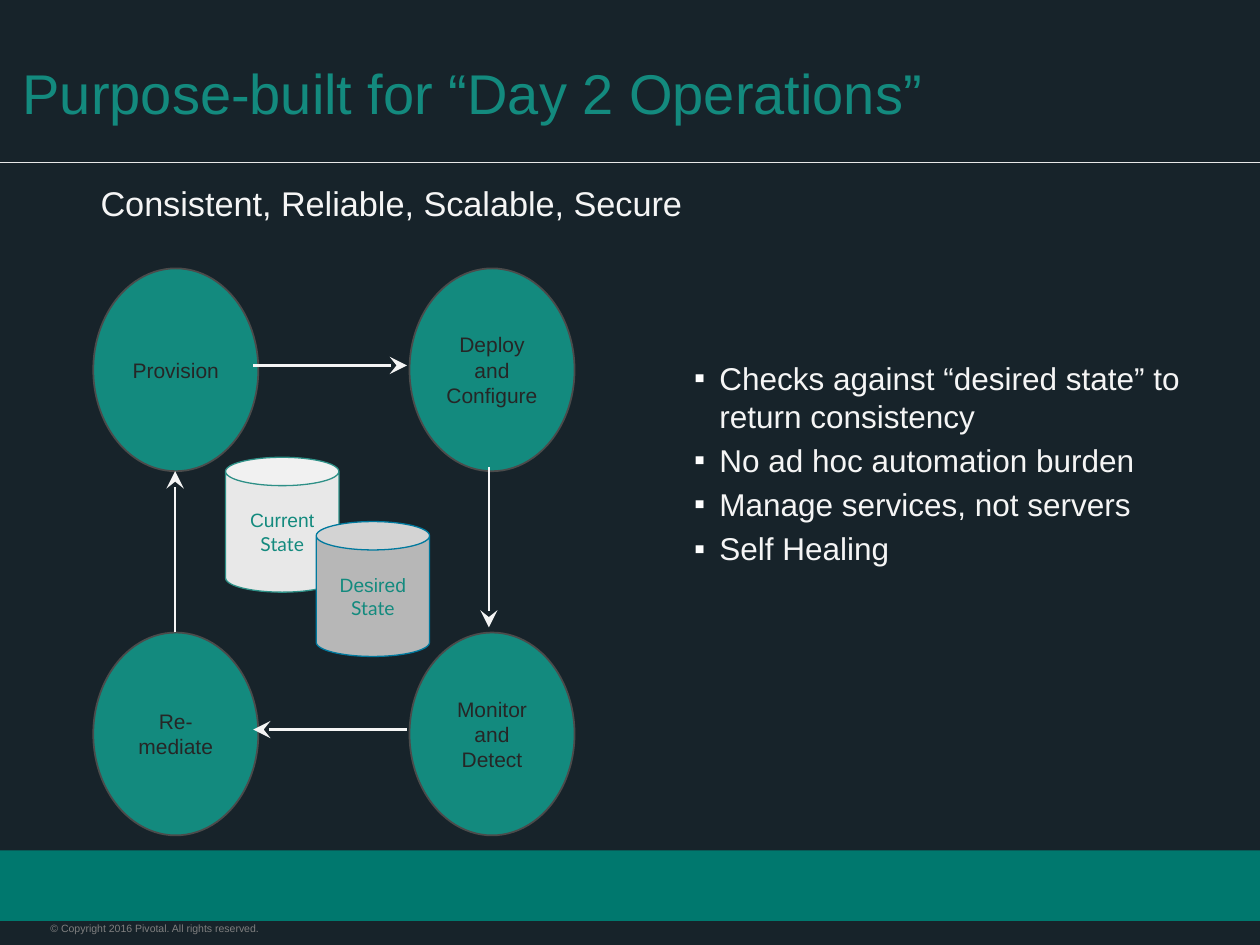
import pptx
import pptx.dml.color
import pptx.enum.shapes
import pptx.enum.text
import pptx.oxml
import pptx.oxml.ns
import pptx.util
from pptx.util import Inches

RGBColor = pptx.dml.color.RGBColor
SHAPE = pptx.enum.shapes.MSO_SHAPE
ALIGN = pptx.enum.text.PP_ALIGN
ANCHOR = pptx.enum.text.MSO_ANCHOR

NIGHT = RGBColor(0x17, 0x23, 0x2A)
BAND = RGBColor(0x00, 0x78, 0x6E)
TEAL = RGBColor(0x13, 0x8A, 0x7E)
CAN_EDGE_TEAL = RGBColor(0x2E, 0x90, 0x87)
CAN_EDGE_BLUE = RGBColor(0x00, 0x79, 0x9E)
OFF_WHITE = RGBColor(0xF5, 0xF5, 0xF5)
PALE = RGBColor(0xE8, 0xE8, 0xE8)
SILVER = RGBColor(0xB7, 0xB7, 0xB7)
GREY = RGBColor(0x7F, 0x7F, 0x7F)
EDGE_GREY = RGBColor(0x4B, 0x4B, 0x4B)
INK = RGBColor(0x26, 0x26, 0x26)

BENEFITS = [
    "Checks against “desired state” to return consistency",
    "No ad hoc automation burden",
    "Manage services, not servers",
    "Self Healing",
]


def set_values(target, values):
    for attribute, value in values.items():
        setattr(target, attribute, value)


def add_drawingml(parent, tag, attributes=""):
    namespace = pptx.oxml.ns.nsdecls("a")
    element = pptx.oxml.parse_xml(f"<a:{tag} {namespace} {attributes}/>")
    parent.append(element)
    return element


def write(paragraph, text, size, color, font="Arial"):
    run = paragraph.add_run()
    run.text = text
    set_values(run.font, {"size": pptx.util.Pt(size), "name": font})
    run.font.color.rgb = color


def prepare_frame(holder, anchor=ANCHOR.TOP, inset_x=0.1, inset_y=0.05):
    frame = holder.text_frame
    set_values(frame, {
        "word_wrap": True,
        "auto_size": pptx.enum.text.MSO_AUTO_SIZE.NONE,
        "vertical_anchor": anchor,
        "margin_left": Inches(inset_x),
        "margin_right": Inches(inset_x),
        "margin_top": Inches(inset_y),
        "margin_bottom": Inches(inset_y),
    })
    return frame


def place(holder, box):
    sides = ("left", "top", "width", "height")
    set_values(holder, {side: Inches(v) for side, v in zip(sides, box)})


def add_filled(slide, preset, box, fill, edge=None, edge_width=1):
    shape = slide.shapes.add_shape(preset, *map(Inches, box))
    shape.shadow.inherit = False
    shape.fill.solid()
    shape.fill.fore_color.rgb = fill
    if edge is None:
        shape.line.fill.background()
    else:
        shape.line.color.rgb = edge
        shape.line.width = pptx.util.Pt(edge_width)
    return shape


def add_rule(slide, start, end, color, width, arrow=False):
    rule = slide.shapes.add_connector(
        pptx.enum.shapes.MSO_CONNECTOR.STRAIGHT, *map(Inches, start + end))
    rule.line.color.rgb = color
    rule.line.width = pptx.util.Pt(width)
    if arrow:
        add_drawingml(rule.line._get_or_add_ln(), "tailEnd",
                      'type="stealth" w="lg" len="lg"')
    add_drawingml(rule._element.spPr, "effectLst")


def add_frame(slide, width):
    """Footer band, copyright line and the rule under the title."""
    add_filled(slide, SHAPE.RECTANGLE, (0, 6.75, width, 0.56), BAND)
    rights = slide.shapes.add_textbox(*map(Inches, (0.4, 7.32, 2.49, 0.13)))
    frame = prepare_frame(rights, inset_x=0, inset_y=0)
    write(frame.paragraphs[0],
          "© Copyright 2016 Pivotal. All rights reserved.", 6, GREY)
    add_rule(slide, (0, 1.29), (width, 1.29), PALE, 0.75)


def add_headings(slide, title_box, subtitle_box):
    title = slide.shapes.title
    place(title, title_box)
    heading = prepare_frame(title, ANCHOR.MIDDLE, 0, 0).paragraphs[0]
    heading.alignment = ALIGN.LEFT
    write(heading, "Purpose-built for “Day 2 Operations”", 32, TEAL)

    subtitle = slide.shapes.add_textbox(*map(Inches, subtitle_box))
    tagline = prepare_frame(subtitle).paragraphs[0]
    tagline.line_spacing = 0.8
    write(tagline, "Consistent, Reliable, Scalable, Secure", 19.6, OFF_WHITE)


def add_benefits(slide, box):
    body = slide.placeholders[1]
    place(body, box)
    frame = prepare_frame(body)
    for index, benefit in enumerate(BENEFITS):
        paragraph = frame.add_paragraph() if index else frame.paragraphs[0]
        properties = paragraph._p.get_or_add_pPr()
        indent = Inches(0.2)
        properties.set("marL", str(indent))
        properties.set("indent", str(-indent))
        bullet_color = add_drawingml(properties, "buClr")
        add_drawingml(bullet_color, "srgbClr", 'val="FFFFFF"')
        add_drawingml(properties, "buFont", 'typeface="Arial"')
        add_drawingml(properties, "buChar", 'char="▪"')
        paragraph.space_before = pptx.util.Pt(3.6 if index else 0)
        write(paragraph, benefit, 18, OFF_WHITE)


def add_label(shape, lines, size, color):
    """Centre lines, given as (text, font) pairs, in the shape."""
    frame = prepare_frame(shape, ANCHOR.MIDDLE)
    for index, (text, font) in enumerate(lines):
        paragraph = frame.add_paragraph() if index else frame.paragraphs[0]
        paragraph.alignment = ALIGN.CENTER
        write(paragraph, text, size, color, font)


def add_cycle(slide, box):
    """Four stages in the corners of the box, joined clockwise by arrows."""
    left, top, width, height = box
    stage_w, stage_h = 1.31, 1.61
    right_x = left + width - stage_w
    lower_y = top + height - stage_h
    stages = [
        ("Provision", left, top),
        ("Deploy and Configure", right_x, top),
        ("Monitor and Detect", right_x, lower_y),
        ("Re-mediate", left, lower_y),
    ]
    for name, x, y in stages:
        stage = add_filled(slide, SHAPE.OVAL, (x, y, stage_w, stage_h),
                           TEAL, EDGE_GREY)
        add_label(stage, [(name, "Arial")], 12, INK)

    west, east = left + stage_w - 0.04, right_x - 0.02
    upper_y, bottom_y = top + 0.77, lower_y + 0.77
    down_x, up_x = right_x + 0.63, left + 0.65
    arrows = [
        ((west, upper_y), (east, upper_y)),
        ((down_x, top + stage_h - 0.03), (down_x, lower_y - 0.04)),
        ((up_x, lower_y), (up_x, top + stage_h)),
        ((east, bottom_y), (west, bottom_y)),
    ]
    for start, end in arrows:
        add_rule(slide, start, end, OFF_WHITE, 1.5, arrow=True)

    states = [
        ("Current", 1.05, 1.5, PALE, CAN_EDGE_TEAL),
        ("Desired", 1.77, 2.01, SILVER, CAN_EDGE_BLUE),
    ]
    for name, dx, dy, fill, edge in states:
        state = add_filled(slide, SHAPE.CAN, (left + dx, top + dy, 0.9, 1.07),
                           fill, edge, 0.75)
        state.adjustments[0] = 0.25
        add_label(state, [(name, "Arial"), ("State", "Lato")], 11, TEAL)


def main():
    deck = pptx.Presentation()
    deck.slide_width, deck.slide_height = Inches(10), Inches(7.5)
    slide = deck.slides.add_slide(deck.slide_layouts[1])
    slide.background.fill.solid()
    slide.background.fill.fore_color.rgb = NIGHT
    add_frame(slide, 10)
    add_headings(slide, (0.18, 0.47, 9.55, 0.53), (0.7, 1.46, 9.2, 0.5))
    add_benefits(slide, (5.41, 2.8, 4.22, 3.12))
    add_cycle(slide, (0.74, 2.13, 3.82, 4.5))
    deck.save("out.pptx")


if __name__ == "__main__":
    main()
